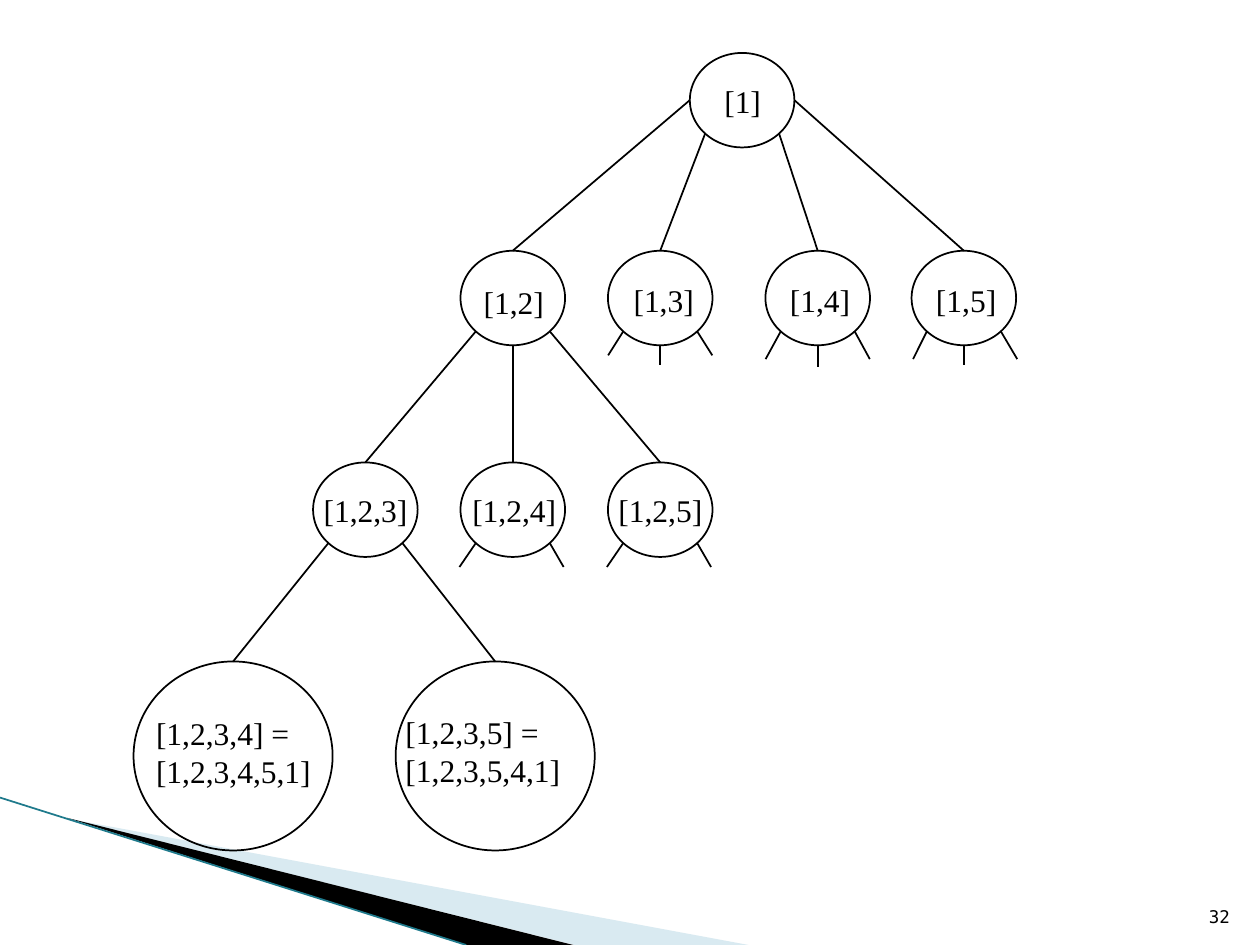
from math import sqrt
from lxml.etree import SubElement
from pptx import Presentation
from pptx.dml.color import RGBColor
from pptx.enum.shapes import MSO_CONNECTOR, MSO_SHAPE
from pptx.enum.text import MSO_ANCHOR, MSO_AUTO_SIZE, PP_ALIGN
from pptx.oxml.ns import qn
from pptx.util import Inches, Pt

THEME = {
    "ink": RGBColor.from_string("000000"),
    "wave": RGBColor.from_string("A0CBDC"),
    "edge": RGBColor.from_string("1F7A8C"),
    "label_font": "Times New Roman",
    "number_font": "DejaVu Sans Mono",
    "label_size": Pt(18),
    "number_size": Pt(10),
    "line": Pt(1),
}

deck = Presentation()
deck.slide_width, deck.slide_height = Inches(10), Inches(7.5)
page = deck.slides.add_slide(deck.slide_layouts[6])
column = deck.slide_width / 100
row = deck.slide_height / 75


def write_text(text, left, top, width, height, font=THEME["label_font"], size=THEME["label_size"],
               align=PP_ALIGN.LEFT, anchor=MSO_ANCHOR.TOP, wrap=False):
    box = page.shapes.add_textbox(int(left * column), int(top * row), int(width * column), int(height * row))
    frame = box.text_frame
    frame.word_wrap = wrap
    frame.auto_size = MSO_AUTO_SIZE.NONE if wrap else MSO_AUTO_SIZE.SHAPE_TO_FIT_TEXT
    frame.vertical_anchor = anchor
    for index, words in enumerate(text.split("\n")):
        para = frame.add_paragraph() if index else frame.paragraphs[0]
        para.alignment = align
        span = para.add_run()
        span.text = words
        span.font.name, span.font.size = font, size
        span.font.color.rgb = THEME["ink"]


def draw_line(start, end, color=THEME["ink"]):
    line = page.shapes.add_connector(MSO_CONNECTOR.STRAIGHT, int(start[0] * column), int(start[1] * row),
                                     int(end[0] * column), int(end[1] * row))
    line.line.color.rgb = color
    line.line.width = THEME["line"]
    SubElement(line._element.spPr, qn("a:effectLst"))
    return line


waves = [
    (THEME["wave"], 40, [(5.5, 65), (59.4, 75), (45.6, 75)]),
    (THEME["ink"], 100, [(5.3, 64.9), (45.5, 75), (37, 75)]),
]
for color, opacity, points in waves:
    corners = [(int(x * column), int(y * row)) for x, y in points]
    builder = page.shapes.build_freeform(*corners[0])
    builder.add_line_segments(corners[1:], close=True)
    wave = builder.convert_to_shape()
    wave.shadow.inherit = False
    wave.fill.solid()
    wave.fill.fore_color.rgb = color
    wave.line.fill.background()
    tint = wave._element.spPr.find(qn("a:solidFill"))[0]
    SubElement(tint, qn("a:alpha"), val=str(opacity * 1000))
draw_line((0, 63.3), (37, 75), THEME["edge"])

write_text("32", 94.6, 70.1, 4, 4, font=THEME["number_font"], size=THEME["number_size"],
           align=PP_ALIGN.RIGHT, anchor=MSO_ANCHOR.BOTTOM, wrap=True)

small, large = (8.3, 7.5), (15.8, 15)
levels = [4.2, 19.9, 36.7, 52.5]
nodes = {
    "[1]": (58.9, 0, small, (56.5, 6, 4.9, 3.7)),
    "[1,2]": (40.7, 1, small, (37.4, 22, 6.8, 3.7)),
    "[1,3]": (52.4, 1, small, (49.3, 21.8, 6.8, 3.7)),
    "[1,4]": (64.9, 1, small, (61.7, 21.8, 6.8, 3.7)),
    "[1,5]": (76.5, 1, small, (73.3, 21.8, 6.8, 3.7)),
    "[1,2,3]": (29, 2, small, (24.7, 38.5, 8.7, 3.7)),
    "[1,2,4]": (40.7, 2, small, (36.5, 38.5, 8.7, 3.7)),
    "[1,2,5]": (52.4, 2, small, (48.1, 38.5, 8.7, 3.7)),
    "[1,2,3,4] =\n[1,2,3,4,5,1]": (18.5, 3, large, (11.4, 56.2, 14.3, 7)),
    "[1,2,3,5] =\n[1,2,3,5,4,1]": (39.3, 3, large, (31.2, 56.1, 14.4, 7.1)),
}
diagonal = sqrt(0.5)
sites = {
    "left": (-1, 0),
    "lower left": (-diagonal, diagonal),
    "bottom": (0, 1),
    "lower right": (diagonal, diagonal),
    "right": (1, 0),
}
circles, ports = {}, {}
for name, (center, level, (width, height), label) in nodes.items():
    top = levels[level]
    circle = page.shapes.add_shape(MSO_SHAPE.OVAL, int((center - width / 2) * column), int(top * row),
                                   int(width * column), int(height * row))
    circle.shadow.inherit = False
    circle.fill.background()
    circle.line.color.rgb = THEME["ink"]
    circle.line.width = THEME["line"]
    circles[name] = circle
    for site, (across, down) in sites.items():
        ports[name, site] = (center + across * width / 2, top + (1 + down) * height / 2)

first, second, third = "[1]", "[1,2]", "[1,2,3]"
branches = [
    (first, "left", "[1,2]"),
    (first, "lower left", "[1,3]"),
    (first, "lower right", "[1,4]"),
    (first, "right", "[1,5]"),
    (second, "lower left", "[1,2,3]"),
    (second, "bottom", "[1,2,4]"),
    (second, "lower right", "[1,2,5]"),
    (third, "lower left", "[1,2,3,4] =\n[1,2,3,4,5,1]"),
    (third, "lower right", "[1,2,3,5] =\n[1,2,3,5,4,1]"),
]
for parent, site, child in branches:
    start = ports[parent, site]
    branch = draw_line(start, (nodes[child][0], levels[nodes[child][1]]))
    branch.end_connect(circles[child], 0)

stubs = {
    "[1,3]": (1.2, 1.2, 1.9, 1.6),
    "[1,4]": (1.2, 1.2, 2.2, 1.7),
    "[1,5]": (1.1, 1.3, 2.2, 1.6),
    "[1,2,4]": (1.3, 1.1, 1.9, 0),
    "[1,2,5]": (1.3, 1.1, 1.9, 0),
}
for name, (outward_left, outward_right, drop, stem) in stubs.items():
    for site, across, down in [("lower left", -outward_left, drop), ("bottom", 0, stem),
                               ("lower right", outward_right, drop)]:
        if down:
            x, y = ports[name, site]
            draw_line((x, y), (x + across, y + down))

for name, (center, level, size, label) in nodes.items():
    write_text(name, *label)

deck.save("out.pptx")
